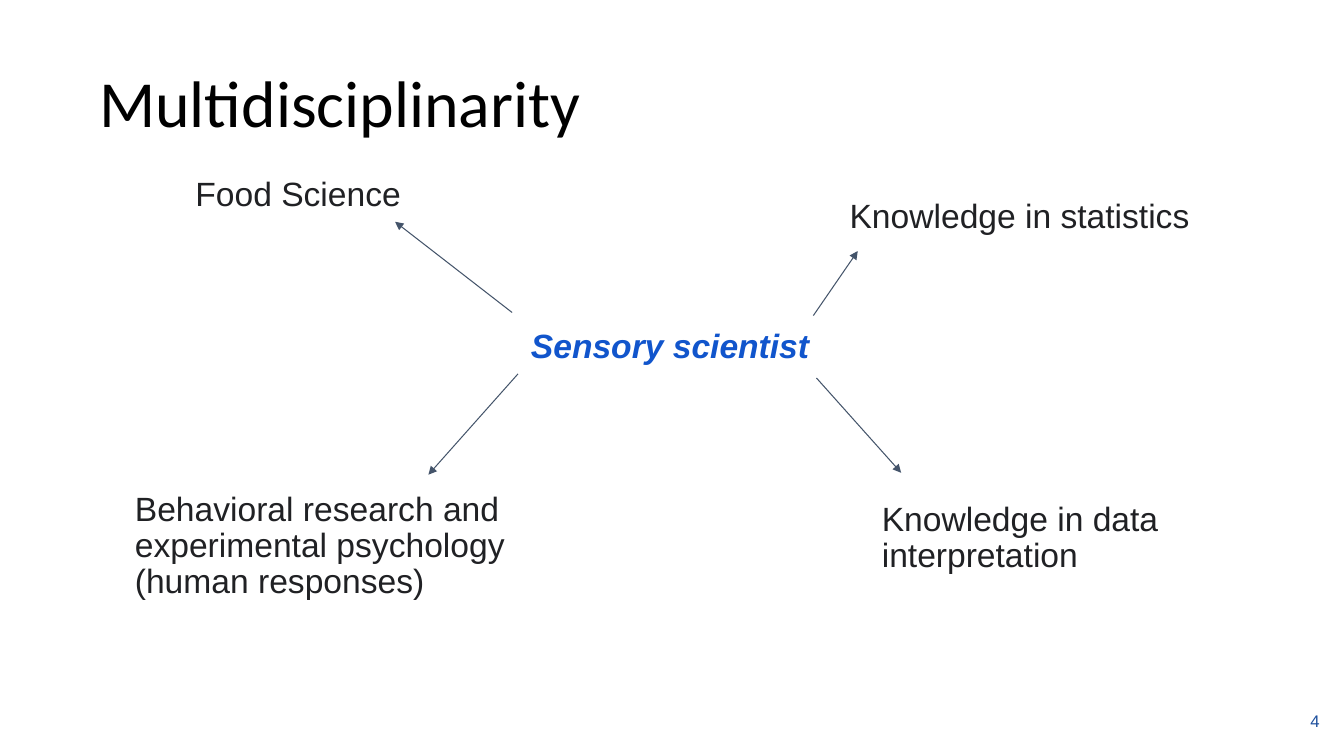
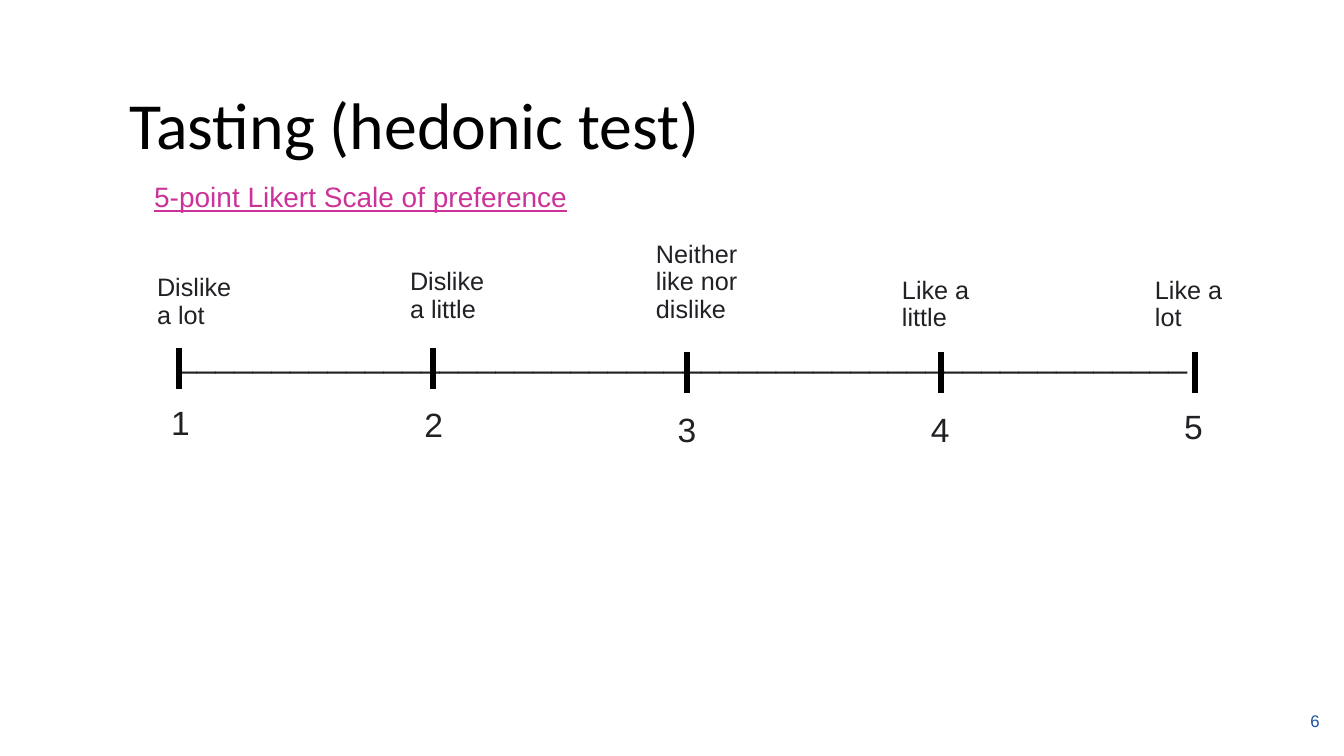
"""Build two slides on sensory science: its disciplines and a hedonic scale."""
import pptx
import pptx.dml.color
import pptx.enum.shapes
import pptx.enum.text
import pptx.oxml
import pptx.util
from lxml import etree

Pt = pptx.util.Pt
ALIGN = pptx.enum.text.PP_ALIGN
ANCHOR = pptx.enum.text.MSO_ANCHOR

INK, BLACK, BLUE = "202124", "000000", "1155CC"
PINK, NUMBER_BLUE, SLATE = "CC3399", "1D4F9D", "44546A"

DISCIPLINES = [
    ("Food Science", (132.5, 119.5, 181.5, 36.7), ((365.8, 223.2), (282.2, 158.4))),
    ("Knowledge in statistics", (599.8, 135.4, 270.7, 36.7), ((581, 225.4), (612.7, 179.3))),
    ("Behavioral research and experimental psychology (human responses)",
     (89.3, 349.2, 283, 83.5), ((370, 267.1), (306, 339.1))),
    ("Knowledge in data interpretation", (622.8, 354.2, 270.7, 59.8),
     ((583.2, 270), (643.7, 337.7))),
]
SCIENTIST = ("Sensory scientist", (372.2, 228.2, 215.3, 36.7))

SCALE_TITLE = ("5-point Likert Scale of preference", (103, 126, 324.7, 30.2))
SCALE_LINE = ("_" * 54, (120.2, 251.3, 741.6, 20.2))
SCALE = [
    {"label": "Dislike a lot", "box": (105.1, 184.3, 70.6), "tick": 248.4, "number": 280.8},
    {"label": "Dislike a little", "box": (285.8, 180, 70.6), "tick": 248.4, "number": 282.2},
    {"label": "Neither like nor dislike", "box": (461.5, 180, 82.1), "tick": 251.3, "number": 285.8},
    {"label": "Like a little", "box": (637.2, 185.8, 70.6), "tick": 251.3, "number": 285.8},
    {"label": "Like a lot", "box": (817.9, 185.8, 70.6), "tick": 251.3, "number": 283.7},
]
LABEL_HEIGHT, TICK_HEIGHT = 54.7, 29.5
TICK_LEFT, TICK_STEP = 127.8, 181.4
NUMBER_LEFT, NUMBER_STEP, NUMBER_SIZE = 115.2, 180.9, (24.5, 38.9)


def color(value):
    return pptx.dml.color.RGBColor.from_string(value)


def write(frame, text, size, ink, font="Arial", align=ALIGN.LEFT, anchor=ANCHOR.BOTTOM,
          spacing=0.9, **emphasis):
    frame.word_wrap = True
    frame.auto_size = pptx.enum.text.MSO_AUTO_SIZE.NONE
    frame.vertical_anchor = anchor
    paragraph = frame.paragraphs[0]
    paragraph.alignment = align
    paragraph.line_spacing = spacing
    run = paragraph.add_run()
    run.text = text
    run.font.name, run.font.size = font, Pt(size)
    run.font.color.rgb = color(ink)
    for name, value in emphasis.items():
        setattr(run.font, name, value)


def add_text(slide, text, box, size=24, ink=INK, **style):
    frame = slide.shapes.add_textbox(*map(Pt, box)).text_frame
    write(frame, text, size, ink, **style)


def add_line(slide, start, end, ink, width, arrow=False):
    line = slide.shapes.add_connector(
        pptx.enum.shapes.MSO_CONNECTOR.STRAIGHT, *map(Pt, (*start, *end)))
    line.line.color.rgb = color(ink)
    line.line.width = Pt(width)
    if arrow:
        outline = line.line._get_or_add_ln()
        etree.SubElement(outline, pptx.oxml.ns.qn("a:tailEnd"), type="triangle")
    etree.SubElement(line._element.spPr, pptx.oxml.ns.qn("a:effectLst"))


def add_slide(deck, title, box, number):
    slide = deck.slides.add_slide(deck.slide_layouts[5])
    heading = slide.shapes.title
    heading.left, heading.top, heading.width, heading.height = map(Pt, box)
    write(heading.text_frame, title, 47, BLACK, font="Calibri", align=ALIGN.CENTER)
    add_text(slide, number, (733.7, 500.4, 216, 28.8), 12, NUMBER_BLUE,
             align=ALIGN.RIGHT, anchor=ANCHOR.MIDDLE, spacing=1.0)
    return slide


def add_disciplines(deck):
    slide = add_slide(deck, "Multidisciplinarity", (48.2, 41, 389.5, 64), "4")
    add_text(slide, *SCIENTIST, ink=BLUE, bold=True, italic=True)
    for discipline, box, (start, end) in DISCIPLINES:
        add_text(slide, discipline, box)
        add_line(slide, start, end, SLATE, 0.75, arrow=True)


def add_scale(deck):
    slide = add_slide(deck, "Tasting (hedonic test)", (76.3, 40.3, 440, 80), "6")
    add_text(slide, *SCALE_TITLE, size=20, ink=PINK, underline=True)
    add_text(slide, *SCALE_LINE)
    for index, point in enumerate(SCALE):
        tick_x = TICK_LEFT + index * TICK_STEP
        add_line(slide, (tick_x, point["tick"]), (tick_x, point["tick"] + TICK_HEIGHT), BLACK, 4.5)
        number_x = NUMBER_LEFT + index * NUMBER_STEP
        add_text(slide, str(index + 1), (number_x, point["number"], *NUMBER_SIZE))
        add_text(slide, point["label"], (*point["box"], LABEL_HEIGHT), size=18)


def main():
    deck = pptx.Presentation()
    deck.slide_width, deck.slide_height = Pt(960), Pt(540)
    add_disciplines(deck)
    add_scale(deck)
    deck.save("out.pptx")


if __name__ == "__main__":
    main()
